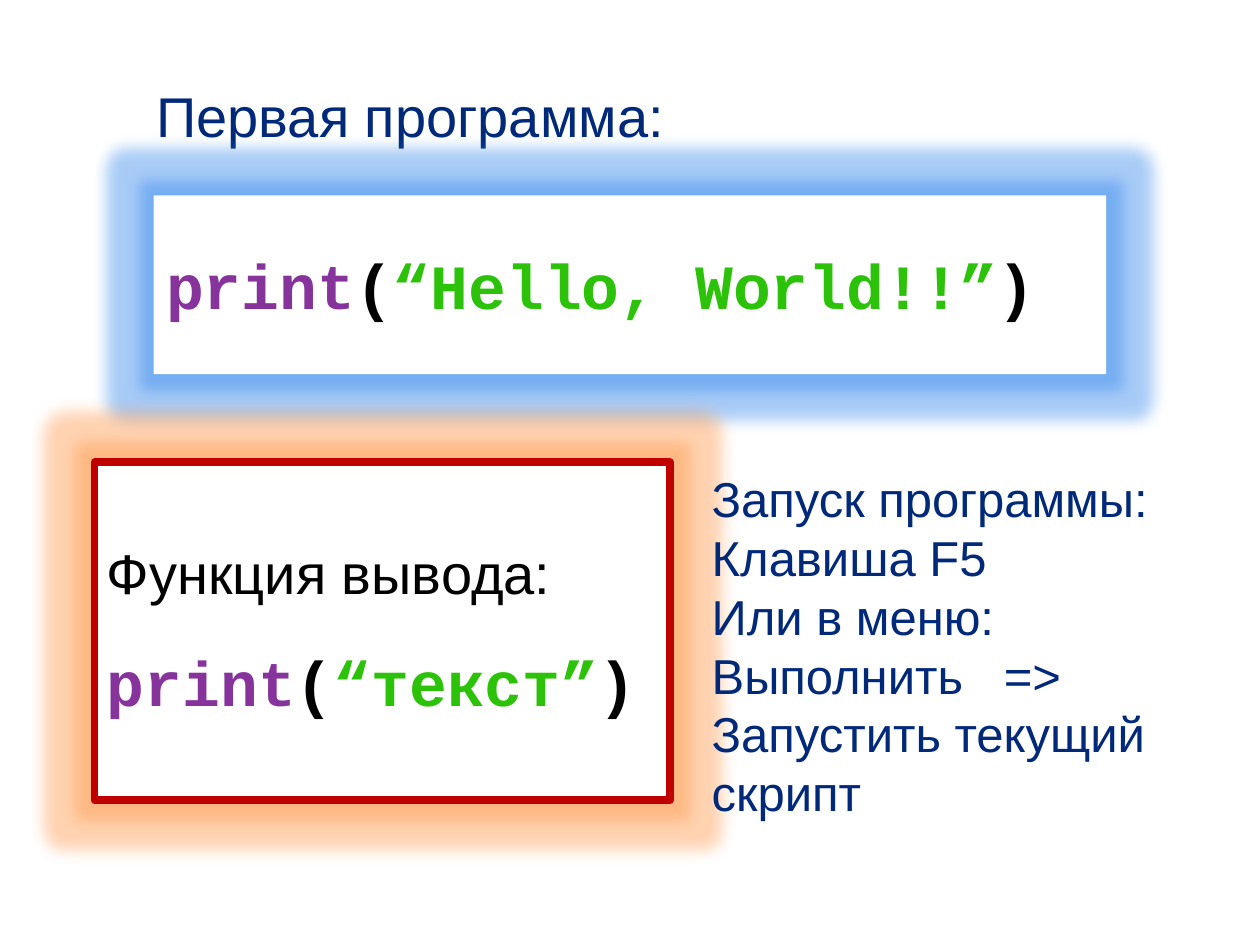
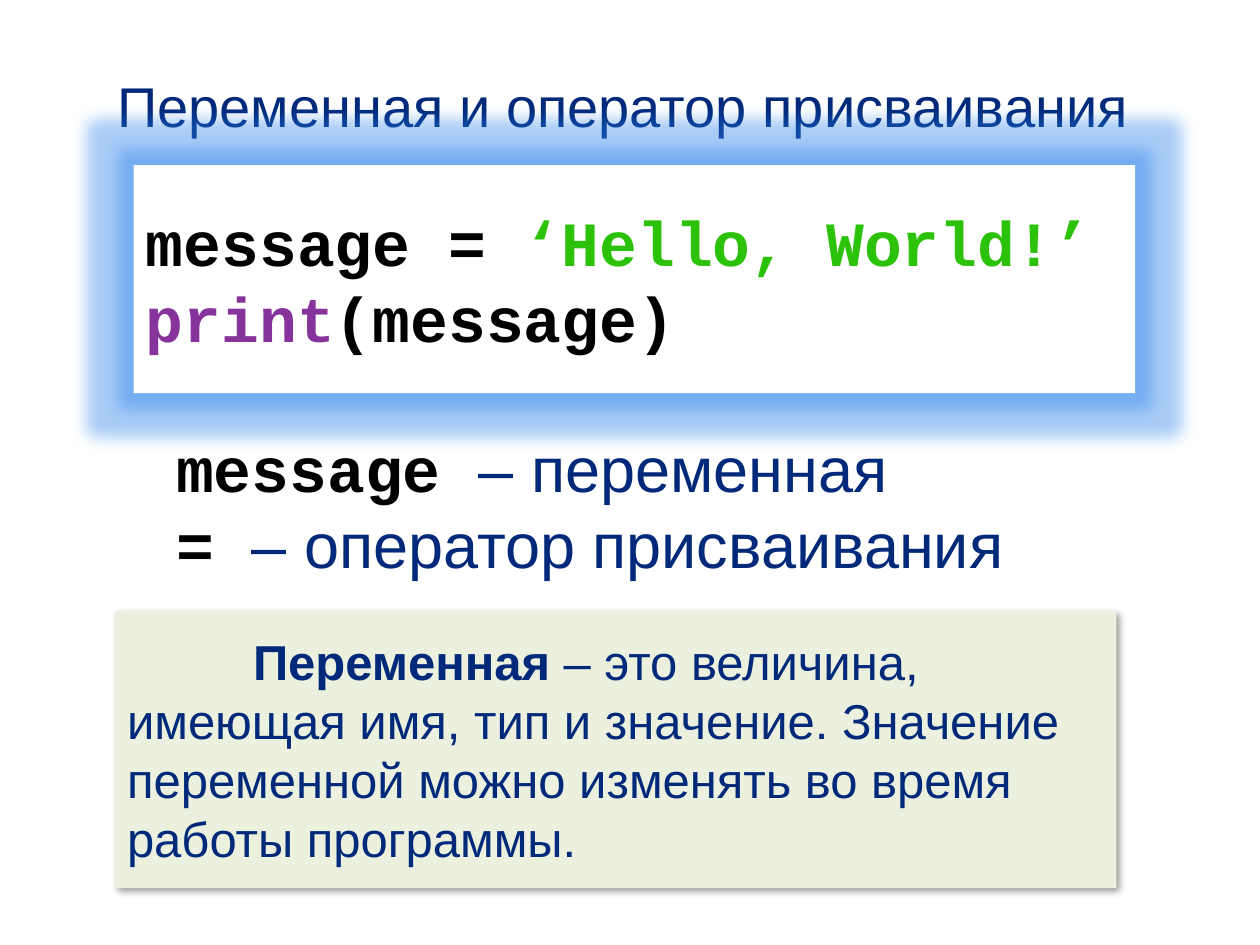
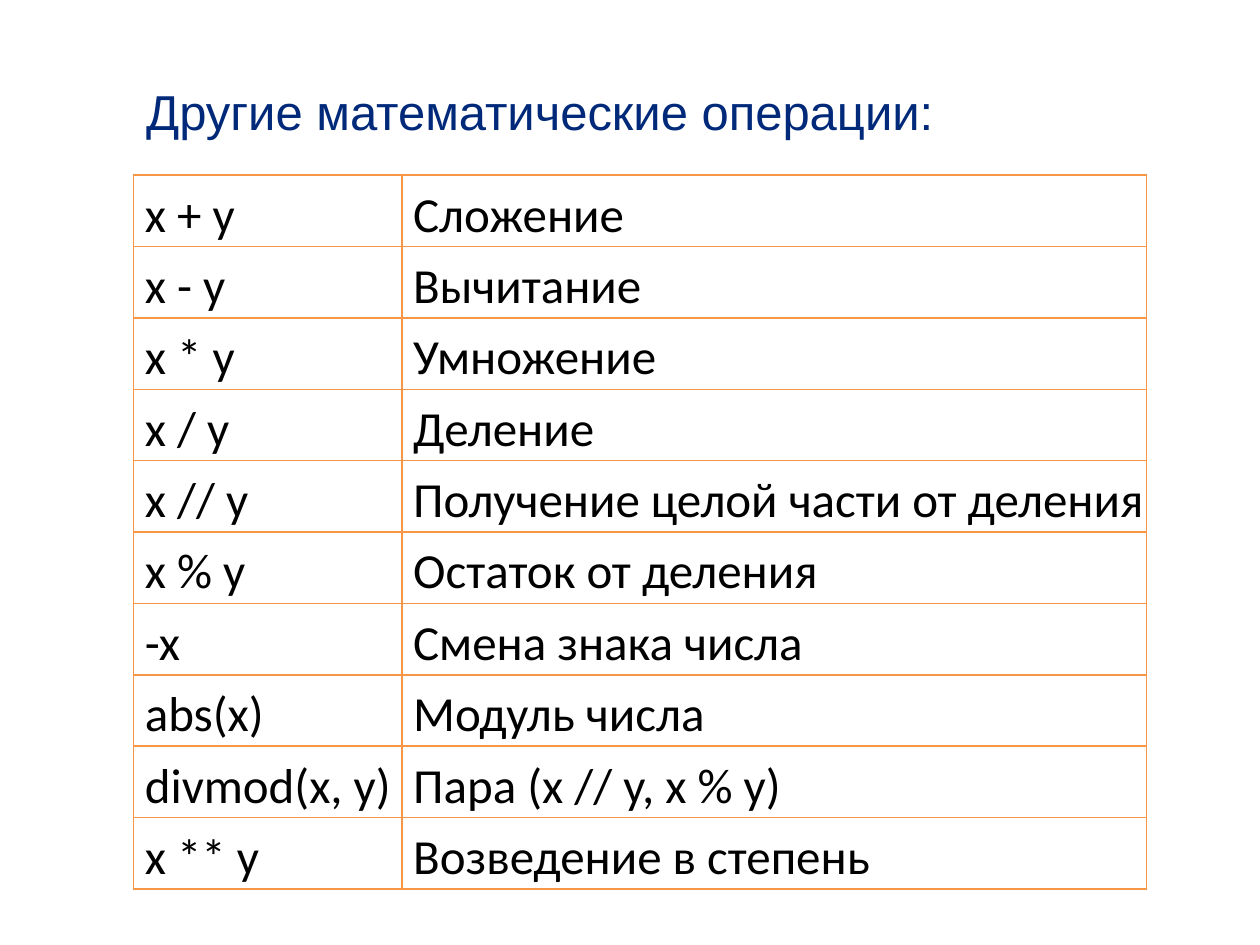
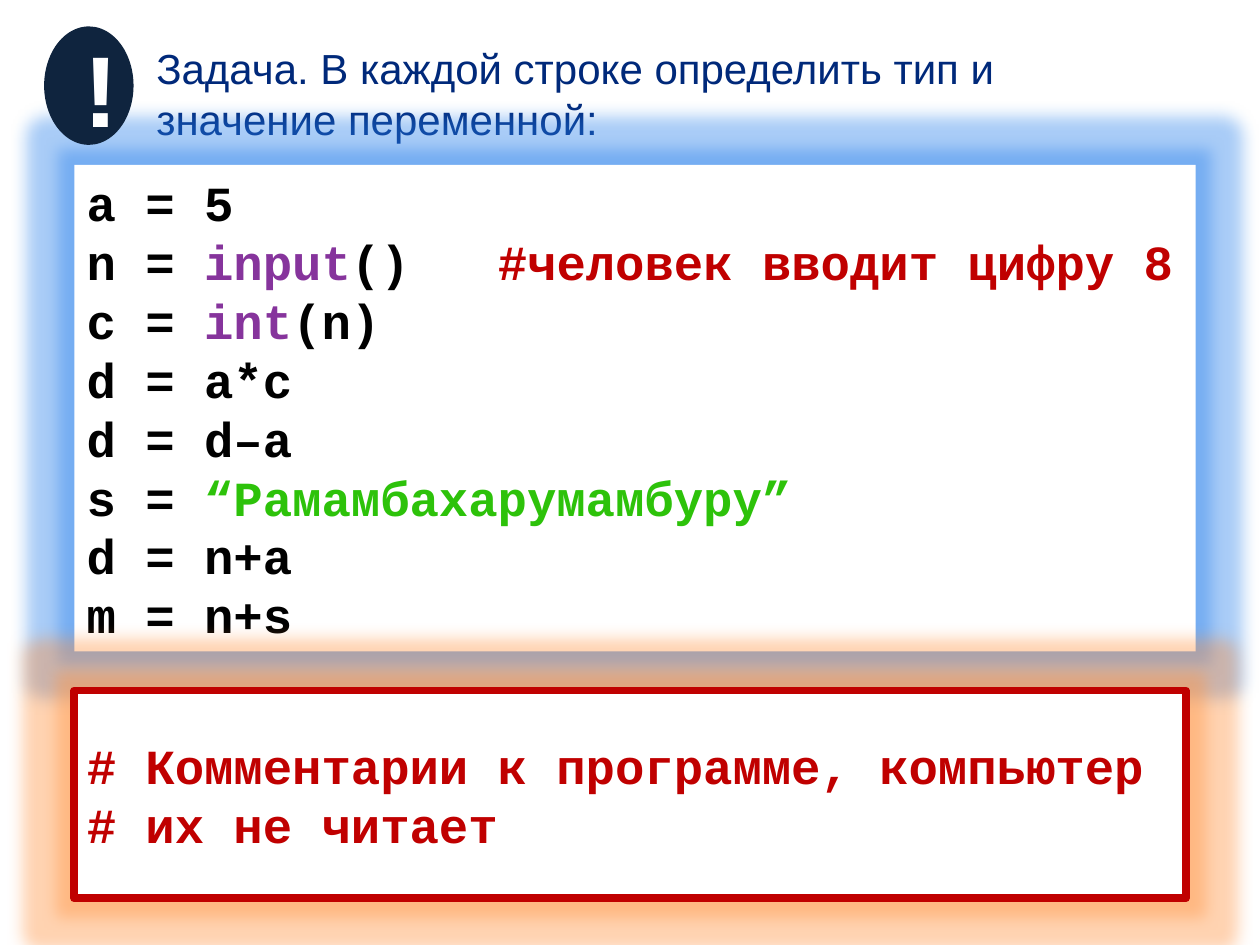
import pptx
import pptx.util
import pptx.dml.color
import pptx.enum.shapes
import pptx.enum.text
import pptx.oxml
import pptx.oxml.ns
from pptx.util import Inches

NAVY, BLACK, WHITE = "00297A", "000000", "FFFFFF"
RED, ORANGE, PALE_GREEN, DARK = "C00000", "F79646", "EBF1DE", "0F243E"
BLUE_GLOW, ORANGE_GLOW = "2880EB", "FF913E"

# Text styles: font, colour, bold
STYLES = {
    "text": ("Arial", NAVY, False),
    "term": ("Arial", NAVY, True),
    "label": ("Arial", BLACK, False),
    "code": ("Courier New", BLACK, True),
    "func": ("Courier New", "86349C", True),
    "str": ("Courier New", "2DC20A", True),
    "note": ("Courier New", RED, True),
    "mark": ("Courier New", WHITE, True),
    "cell": ("Calibri", BLACK, False),
}
ANCHOR = pptx.enum.text.MSO_ANCHOR
ALIGN = pptx.enum.text.PP_ALIGN
SHAPE = pptx.enum.shapes.MSO_SHAPE


def rgb(value):
    return pptx.dml.color.RGBColor.from_string(value)


def xml(markup):
    """Build one drawing element, given without its namespace declaration."""
    tag, rest = markup.split(" ", 1)
    return pptx.oxml.parse_xml(f"{tag} {pptx.oxml.ns.nsdecls('a')} {rest}")


def box(at):
    return [Inches(v) for v in at]


class Deck:
    def __init__(self):
        self.prs = pptx.Presentation()
        self.prs.slide_width, self.prs.slide_height = Inches(10), Inches(7.5)
        self.s = None

    def slide(self, title, at, size):
        """Start a slide with a left-aligned title."""
        self.s = self.prs.slides.add_slide(self.prs.slide_layouts[5])
        sp = self.s.shapes.title
        sp.left, sp.top, sp.width, sp.height = box(at)
        self.add_runs(sp.text_frame, [[(title, "text")]], size, anchor=ANCHOR.TOP)
        sp.text_frame.auto_size = pptx.enum.text.MSO_AUTO_SIZE.NONE

    def add_runs(self, tf, paragraphs, size, anchor=ANCHOR.MIDDLE, align=ALIGN.LEFT,
                 spacing=None):
        """Fill a frame; a paragraph is a list of (text, style) and a size may follow."""
        tf.word_wrap = True
        tf.vertical_anchor = anchor
        for i, runs in enumerate(paragraphs):
            p = tf.paragraphs[0] if i == 0 else tf.add_paragraph()
            p.alignment = align
            if spacing:
                p.line_spacing = spacing
            for text, style, *own_size in runs:
                r = p.add_run()
                r.text = text
                font, colour, bold = STYLES[style]
                r.font.name, r.font.bold = font, bold
                r.font.size = pptx.util.Pt(own_size[0] if own_size else size)
                r.font.color.rgb = rgb(colour)

    def text(self, at, paragraphs, size, wrap=True):
        tf = self.s.shapes.add_textbox(*box(at)).text_frame
        self.add_runs(tf, paragraphs, size, anchor=ANCHOR.TOP)
        tf.word_wrap = wrap

    def shape(self, at, paragraphs, size, fill=WHITE, line=None, effect=None,
              kind=SHAPE.RECTANGLE, **layout):
        sp = self.s.shapes.add_shape(kind, *box(at))
        sp.fill.solid()
        sp.fill.fore_color.rgb = rgb(fill)
        if line:
            sp.line.color.rgb = rgb(line)
            sp.line.width = pptx.util.Pt(4.5)
        else:
            sp.line.fill.background()
        sp.shadow.inherit = False
        if effect:
            sp._element.spPr.find(pptx.oxml.ns.qn("a:effectLst")).append(xml(effect))
        self.add_runs(sp.text_frame, paragraphs, size, **layout)
        return sp

    def glow(self, colour):
        return (f'<a:glow rad="{pptx.util.Pt(18)}"><a:srgbClr val="{colour}">'
                '<a:alpha val="40000"/></a:srgbClr></a:glow>')

    def code(self, at, paragraphs, size):
        """White code panel with a blue glow."""
        return self.shape(at, paragraphs, size, effect=self.glow(BLUE_GLOW))

    def framed(self, at, paragraphs, size, **layout):
        """White panel with a red frame and an orange glow."""
        return self.shape(at, paragraphs, size, line=RED,
                          effect=self.glow(ORANGE_GLOW), **layout)

    def definition(self, at, paragraphs, size):
        """Pale panel with a soft shadow and an indented first line."""
        shadow = (f'<a:outerShdw blurRad="{pptx.util.Pt(4)}" dist="{pptx.util.Pt(3)}" '
                  f'dir="2700000" algn="tl" rotWithShape="0"><a:srgbClr val="{BLACK}">'
                  '<a:alpha val="40000"/></a:srgbClr></a:outerShdw>')
        sp = self.shape(at, paragraphs, size, fill=PALE_GREEN, effect=shadow)
        sp.text_frame.paragraphs[0]._p.get_or_add_pPr().set("indent", str(Inches(1)))

    def table(self, at, widths, rows, size):
        table = self.s.shapes.add_table(len(rows), len(widths), *box(at)).table
        table.first_row = table.horz_banding = False
        for column, width in zip(table.columns, widths):
            column.width = Inches(width)
        for i, row in enumerate(rows):
            for j, text in enumerate(row):
                cell = table.cell(i, j)
                cell.margin_left = cell.margin_right = Inches(0.01)
                cell.margin_top = cell.margin_bottom = Inches(0.01)
                tf = cell.text_frame
                self.add_runs(tf, [[(text, "cell")]], size, spacing=1.15)
                cell.vertical_anchor = ANCHOR.MIDDLE
                tf.paragraphs[0]._p.get_or_add_pPr().set("marL", str(Inches(0.08)))
                for side in "LRTB":
                    cell._tc.get_or_add_tcPr().append(xml(
                        f'<a:ln{side} w="{pptx.util.Pt(1)}"><a:solidFill>'
                        f'<a:srgbClr val="{ORANGE}"/></a:solidFill></a:ln{side}>'))
                cell.fill.background()


def first_program(d):
    d.slide("Первая программа:", (1.14, 0.6, 7.09, 0.64), 32)
    d.code((1.22, 1.55, 7.56, 1.42), [
        [("print", "func"), ("(", "code"), ("“Hello, World!!”", "str"), (")", "code")],
    ], 36)
    sp = d.framed((0.75, 3.67, 4.57, 2.68), [
        [("Функция вывода:", "label", 32)],
        [("print", "func"), ("(", "code"), ("“текст”", "str"), (")", "code")],
    ], 36, spacing=1.5)
    sp.text_frame.margin_bottom = Inches(0.35)
    d.text((5.55, 3.67, 4.02, 2.93), [[(line, "text")] for line in (
        "Запуск программы:", "Клавиша F5", "Или в меню:",
        "Выполнить   =>  Запустить текущий скрипт")], 28)


def variable(d):
    d.slide("Переменная и оператор присваивания", (0.83, 0.52, 8.29, 0.64), 32)
    d.code((1.06, 1.31, 7.95, 1.81), [
        [("message = ", "code"), ("‘Hello, World!’", "str")],
        [("print", "func"), ("(message)", "code")],
    ], 36)
    d.text((1.3, 3.36, 6.83, 1.31), [
        [("message ", "code"), ("– переменная", "text")],
        [("= ", "code"), ("– оператор присваивания", "text")],
    ], 36, wrap=False)
    d.definition((0.91, 4.85, 7.95, 2.2), [
        [("Переменная", "term"),
         (" – это величина, имеющая имя, тип и значение. Значение переменной "
          "можно изменять во время работы программы.", "text")],
    ], 28)


def operations(d):
    d.slide("Другие математические операции:", (1.06, 0.6, 7.48, 0.57), 28)
    d.table((1.06, 1.39, 8.04, 5.23), (2.13, 5.91), [
        ("x + y", "Сложение"),
        ("x - y", "Вычитание"),
        ("x * y", "Умножение"),
        ("x / y", "Деление"),
        ("x // y", "Получение целой части от деления"),
        ("x % y", "Остаток от деления"),
        ("-x", "Смена знака числа"),
        ("abs(x)", "Модуль числа"),
        ("divmod(x, y)", "Пара (x // y, x % y)"),
        ("x ** y", "Возведение в степень"),
    ], 28)


def task(d):
    d.slide("Задача. В каждой строке определить тип и значение переменной:",
            (1.14, 0.29, 8.19, 0.91), 24)
    d.code((0.59, 1.31, 8.9, 3.86), [
        [("a = 5", "code")],
        [("n = ", "code"), ("input", "func"), ("()   ", "code"),
         ("#человек вводит цифру 8", "note")],
        [("c = ", "code"), ("int", "func"), ("(n)", "code")],
        [("d = a*c", "code")],
        [("d = d–a", "code")],
        [("s = ", "code"), ("“Рамамбахарумамбуру”", "str")],
        [("d = n+a", "code")],
        [("m = n+s", "code")],
    ], 28)
    d.framed((0.59, 5.48, 8.82, 1.65), [
        [("# Комментарии к программе, компьютер # их не читает", "note")],
    ], 28)
    d.shape((0.35, 0.21, 0.71, 0.94), [[("!", "mark")]], 60, fill=DARK,
            kind=SHAPE.OVAL, align=ALIGN.CENTER)


def main():
    d = Deck()
    for build in (first_program, variable, operations, task):
        build(d)
    d.prs.save("out.pptx")


if __name__ == "__main__":
    main()
